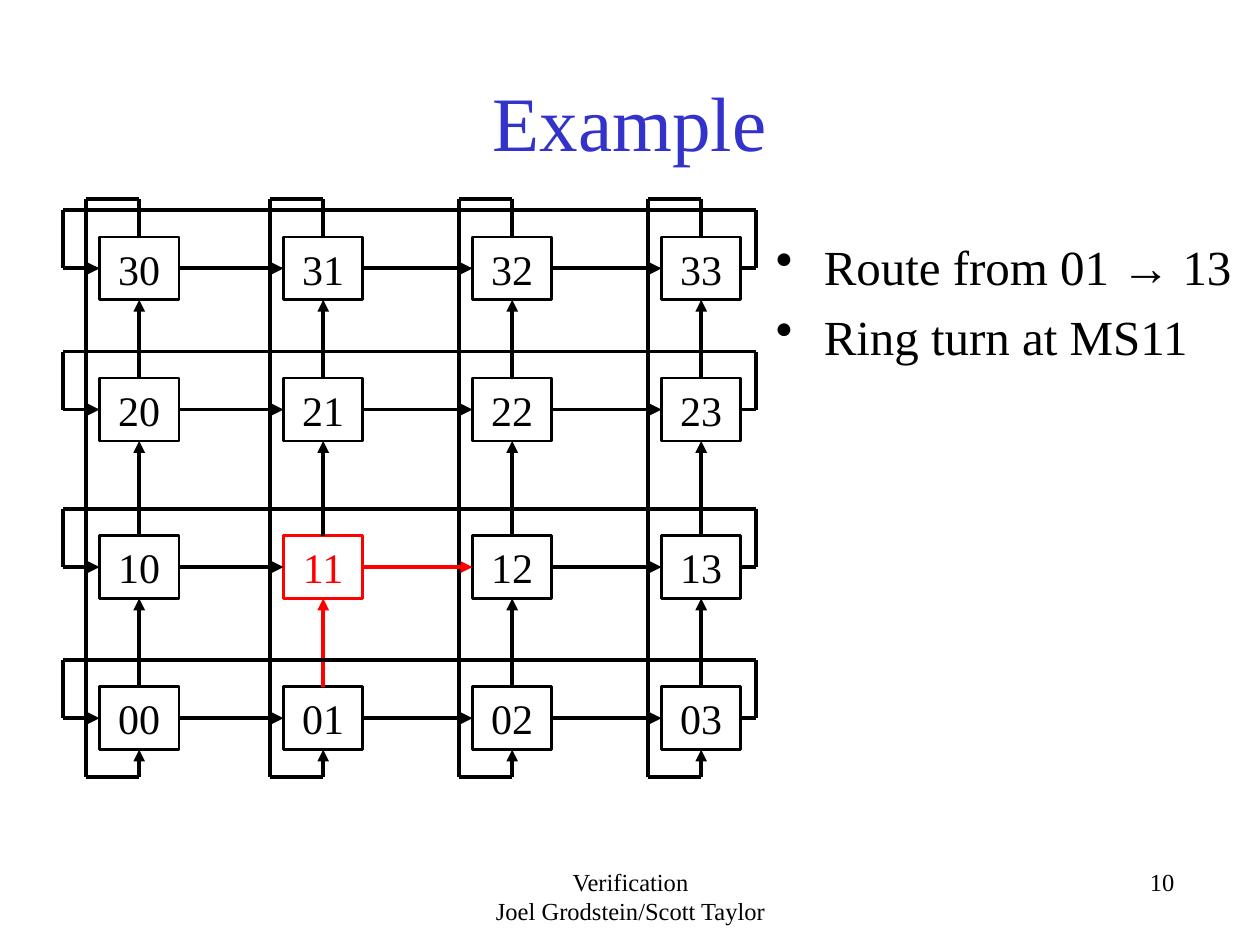
"""Build the slide that shows a route through a four by four grid of rings."""
from itertools import pairwise

from lxml.etree import SubElement
from pptx import Presentation
from pptx.dml.color import RGBColor
from pptx.enum.shapes import MSO_CONNECTOR, MSO_SHAPE
from pptx.enum.text import MSO_ANCHOR, PP_ALIGN
from pptx.oxml.ns import qn
from pptx.util import Inches, Pt

BLACK = RGBColor(0x00, 0x00, 0x00)
WHITE = RGBColor(0xFF, 0xFF, 0xFF)
RED = RGBColor(0xFF, 0x00, 0x00)
BLUE = RGBColor(0x33, 0x33, 0xCC)
FONT = "Times New Roman"

TITLE = ["Example"]
POINTS = ["Route from 01 → 13", "Ring turn at MS11"]
FOOTER = ["Verification", "Joel Grodstein/Scott Taylor"]
PAGE = ["10"]
STATIONS = [
    ["30", "31", "32", "33"],
    ["20", "21", "22", "23"],
    ["10", "11", "12", "13"],
    ["00", "01", "02", "03"],
]
TURN = "11"
ROUTE = {("01", "11"), ("11", "12")}

COLUMNS = [0.79, 2.25, 3.75, 5.25]
ROWS = [1.88, 3, 4.25, 5.45]
WIDTH, HEIGHT = 0.63, 0.5
RING_LEFT, RING_RIGHT, RING_RISE = 0.5, 6, 0.21
LOOP_TOP, LOOP_BOTTOM, LOOP_OFFSET = 1.58, 6.17, 0.11
TOP, LEFT, BOTTOM, RIGHT = range(4)


def write(shape, lines, size, color=BLACK, align=PP_ALIGN.CENTER,
          anchor=MSO_ANCHOR.TOP, bullet=None, gap=0):
    frame = shape.text_frame
    frame.word_wrap = True
    frame.vertical_anchor = anchor
    for index, line in enumerate(lines):
        paragraph = frame.paragraphs[0] if index == 0 else frame.add_paragraph()
        paragraph.alignment = align
        if index and gap:
            paragraph.space_before = Pt(gap)
        if bullet:
            properties = paragraph._p.get_or_add_pPr()
            properties.set("marL", str(Inches(0.38)))
            properties.set("indent", str(Inches(-0.38)))
            SubElement(properties, qn("a:buChar"), char=bullet)
        run = paragraph.add_run()
        run.text = line
        run.font.name = FONT
        run.font.size = Pt(size)
        run.font.color.rgb = color


def add_text(slide, place, lines, **form):
    write(slide.shapes.add_textbox(*map(Inches, place)), lines, **form)


def add_station(slide, name, left, top):
    color = RED if name == TURN else BLACK
    station = slide.shapes.add_shape(
        MSO_SHAPE.RECTANGLE, *map(Inches, (left, top, WIDTH, HEIGHT)))
    station.shadow.inherit = False
    station.fill.solid()
    station.fill.fore_color.rgb = WHITE
    station.line.color.rgb = color
    station.line.width = Pt(1.5)
    write(station, [name], 24, color=color, anchor=MSO_ANCHOR.MIDDLE)
    return station


def add_wire(slide, start, end, corners=(), color=BLACK):
    points = [(0, 0), *corners, (0, 0)]
    wires = []
    for begin, finish in pairwise(points):
        wire = slide.shapes.add_connector(
            MSO_CONNECTOR.STRAIGHT, *map(Inches, (*begin, *finish)))
        wire.line.color.rgb = color
        wire.line.width = Pt(2.25)
        SubElement(wire._element.spPr, qn("a:effectLst"))
        wires.append(wire)
    wires[0].begin_connect(*start)
    wires[-1].end_connect(*end)
    SubElement(wires[-1].line._get_or_add_ln(), qn("a:tailEnd"), type="triangle")


def add_links(slide, stations, pairs, leave, enter):
    for source, target in pairs:
        add_wire(slide, (stations[source], leave), (stations[target], enter),
                 color=RED if (source, target) in ROUTE else BLACK)


def main():
    deck = Presentation()
    deck.slide_width, deck.slide_height = Inches(10), Inches(7.5)
    slide = deck.slides.add_slide(deck.slide_layouts[6])

    add_text(slide, (0.75, 0.33, 8.5, 1.25), TITLE, size=44, color=BLUE,
             anchor=MSO_ANCHOR.MIDDLE)
    add_text(slide, (6.06, 1.83, 3.91, 3.61), POINTS, size=28,
             align=PP_ALIGN.LEFT, bullet="•", gap=6)
    add_text(slide, (3.42, 6.83, 3.17, 0.5), FOOTER, size=14)
    add_text(slide, (6.25, 6.83, 3.17, 0.5), PAGE, size=14, align=PP_ALIGN.RIGHT)

    stations = {
        name: add_station(slide, name, left, top)
        for names, top in zip(STATIONS, ROWS)
        for name, left in zip(names, COLUMNS)
    }

    for names, left in zip(zip(*STATIONS), COLUMNS):
        add_links(slide, stations, pairwise(reversed(names)), TOP, BOTTOM)
        middle, side = left + WIDTH / 2, left - LOOP_OFFSET
        corners = [(middle, LOOP_TOP), (side, LOOP_TOP),
                   (side, LOOP_BOTTOM), (middle, LOOP_BOTTOM)]
        add_wire(slide, (stations[names[0]], TOP),
                 (stations[names[-1]], BOTTOM), corners)

    for names, top in zip(STATIONS, ROWS):
        add_links(slide, stations, pairwise(names), RIGHT, LEFT)
        middle, above = top + HEIGHT / 2, top - RING_RISE
        corners = [(RING_RIGHT, middle), (RING_RIGHT, above),
                   (RING_LEFT, above), (RING_LEFT, middle)]
        add_wire(slide, (stations[names[-1]], RIGHT),
                 (stations[names[0]], LEFT), corners)

    deck.save("out.pptx")


if __name__ == "__main__":
    main()
